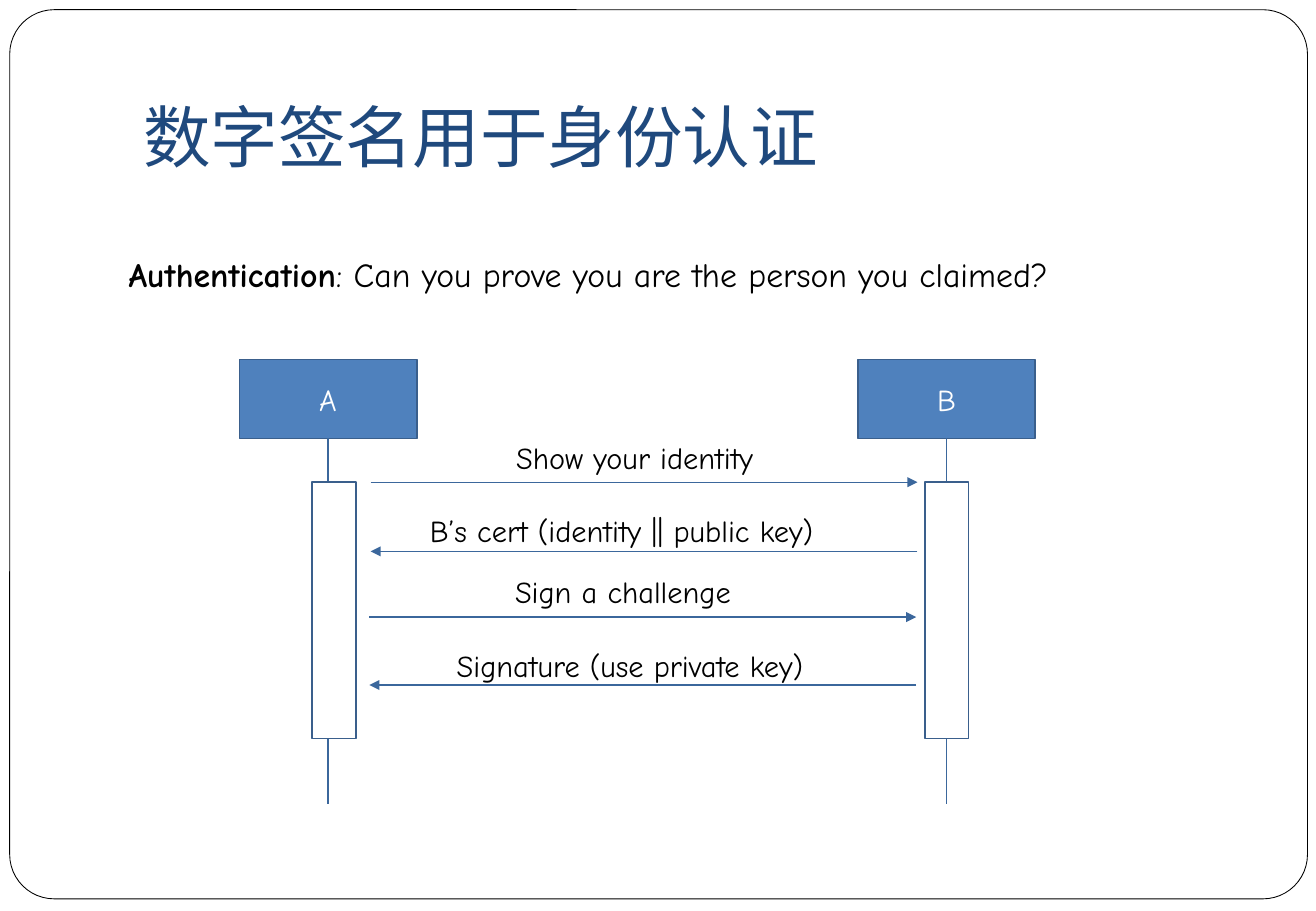
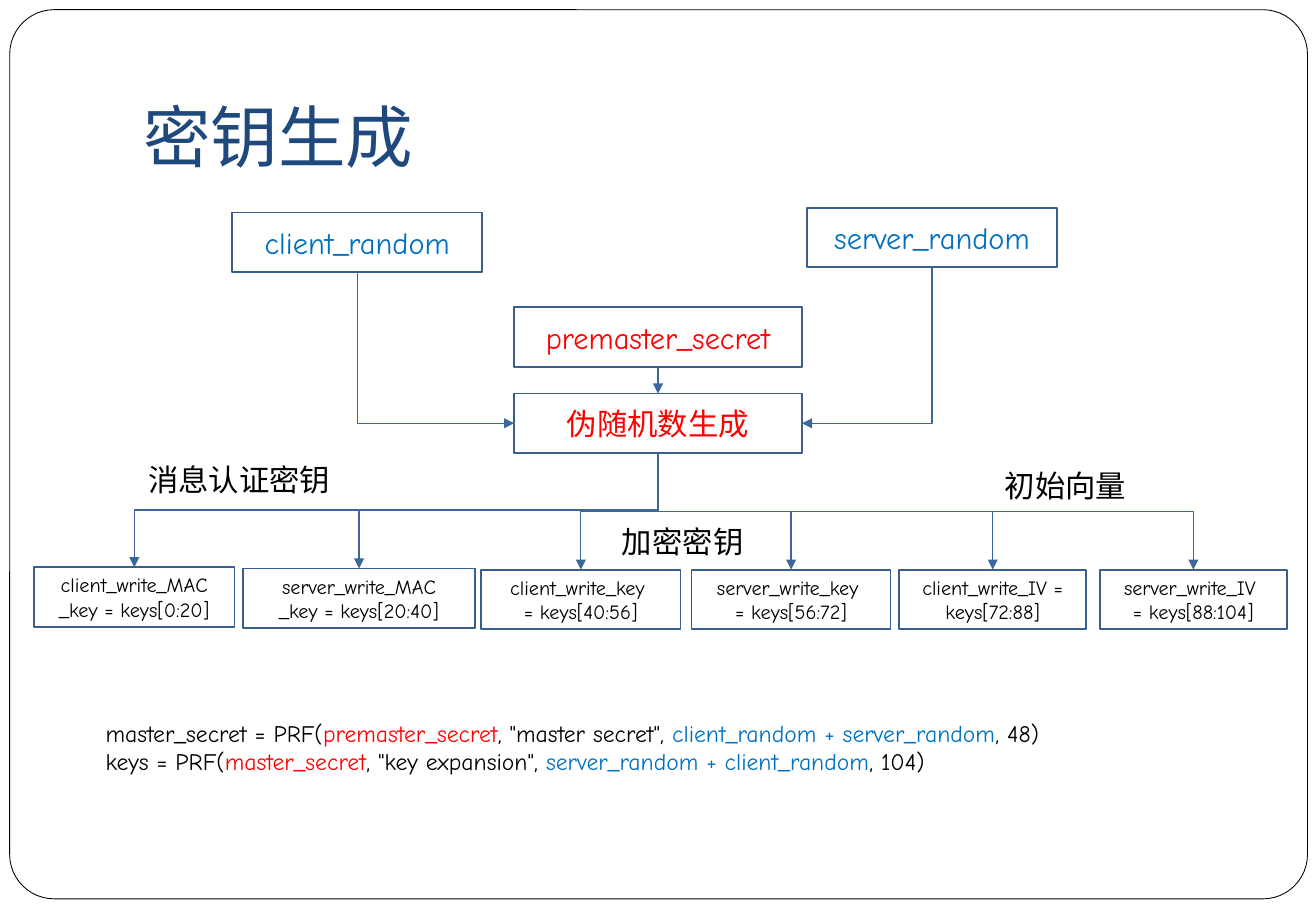
from lxml import etree
from pptx import Presentation
from pptx import util as u
from pptx.dml.color import RGBColor
from pptx.enum import shapes, text
from pptx.enum.lang import MSO_LANGUAGE_ID
from pptx.oxml.ns import qn

Inches = u.Inches
FONT = "Comic Neue"
BLACK = RGBColor(0x00, 0x00, 0x00)
WHITE = RGBColor(0xFF, 0xFF, 0xFF)
NAVY = RGBColor(0x1F, 0x49, 0x7D)
BLUE = RGBColor(0x4F, 0x81, 0xBD)
OUTLINE = RGBColor(0x3A, 0x5F, 0x8C)
ARROW = RGBColor(0x3B, 0x67, 0x9C)
RED = RGBColor(0xFF, 0x00, 0x00)
SKY = RGBColor(0x00, 0x70, 0xC0)
TOP, LEFT, BOTTOM, RIGHT = range(4)

# Authentication: name, box left, activation bar left
ACTORS = [("A", 1.97, 2.57), ("B", 7.06, 7.61)]
# Text, label box, arrow start x, arrow end x, arrow y
MESSAGES = [
    ("Show your identity", (4.15, 3.57, 2.57, 0.4), 3.05, 7.55, 3.97),
    ("B’s cert (identity || public key)", (3.44, 4.17, 3.95, 0.4), 7.55, 3.05, 4.54),
    ("Sign a challenge", (4.14, 4.67, 2.3, 0.4), 3.04, 7.54, 5.08),
    ("Signature (use private key)", (3.66, 5.28, 3.4, 0.4), 7.54, 3.04, 5.64),
]
QUESTION = [[("Authentication", BLACK, True),
             (": Can you prove you are the person you claimed?", BLACK)]]

# Key generation: text, colour, box
SOURCES = {
    "client": ("client_random", SKY, (1.91, 1.75, 2.06, 0.49)),
    "server": ("server_random", SKY, (6.64, 1.71, 2.06, 0.49)),
    "premaster": ("premaster_secret", RED, (4.23, 2.53, 2.37, 0.49)),
    "generator": ("伪随机数生成", RED, (4.23, 3.24, 2.37, 0.49)),
}
# Lines, left, top, width
KEYS = [
    (["client_write_MAC", "_key = keys[0:20]"], 0.28, 4.67, 1.65),
    (["server_write_MAC", "_key = keys[20:40]"], 2, 4.68, 1.91),
    (["client_write_key ", "= keys[40:56]"], 3.96, 4.69, 1.64),
    (["server_write_key ", "= keys[56:72]"], 5.69, 4.69, 1.64),
    (["client_write_IV = keys[72:88]"], 7.4, 4.69, 1.54),
    (["server_write_IV ", "= keys[88:104]"], 9.05, 4.69, 1.54),
]
GROUPS = [
    ("消息认证密钥", (1.12, 3.75, 1.83, 0.4)),
    ("加密密钥", (5.02, 4.26, 1.28, 0.4)),
    ("初始向量", (8.17, 3.8, 1.31, 0.4)),
]
FORMULAS = [
    [("master_secret = PRF(", BLACK), ("premaster_secret", RED),
     (', "master secret", ', BLACK), ("client_random + server_random", SKY),
     (", 48)", BLACK)],
    [("keys = PRF(", BLACK), ("master_secret", RED),
     (', "key expansion", ', BLACK), ("server_random + client_random", SKY),
     (", 104)", BLACK)],
]


def write(shape, lines, size=18, color=BLACK, align=text.PP_ALIGN.LEFT,
          anchor=text.MSO_ANCHOR.TOP, before=0, bottom=0.05):
    """Each line is a string or a list of (text, colour[, bold]) spans."""
    frame = shape.text_frame
    frame.word_wrap = True
    frame.vertical_anchor = anchor
    frame.margin_bottom = Inches(bottom)
    for index, line in enumerate(lines):
        para = frame.add_paragraph() if index else frame.paragraphs[0]
        para.alignment = align
        para.space_before = u.Pt(before)
        for words, ink, *bold in [(line, color)] if isinstance(line, str) else line:
            span = para.add_run()
            span.text = words
            font = span.font
            font.name, font.size, font.bold = FONT, u.Pt(size), bool(bold)
            font.color.rgb = ink
            if words >= "一":
                font.language_id = MSO_LANGUAGE_ID.SIMPLIFIED_CHINESE


def add_label(slide, place, lines, **style):
    box = slide.shapes.add_textbox(*map(Inches, place))
    write(box, lines, **style)


def add_box(slide, place, lines=(), fill=WHITE, line=OUTLINE, weight=1,
            kind=shapes.MSO_SHAPE.RECTANGLE, **style):
    box = slide.shapes.add_shape(kind, *map(Inches, place))
    box.shadow.inherit = False
    box.fill.solid()
    box.fill.fore_color.rgb = fill
    box.line.color.rgb = line
    box.line.width = u.Pt(weight)
    write(box, lines, align=text.PP_ALIGN.CENTER, anchor=text.MSO_ANCHOR.MIDDLE, **style)
    return box


def add_line(slide, start, end, kind=shapes.MSO_CONNECTOR.STRAIGHT, arrow=True):
    line = slide.shapes.add_connector(kind, *start, *end)
    line.line.color.rgb = ARROW
    line.line.width = u.Pt(0.75)
    if arrow:
        etree.SubElement(line.line._get_or_add_ln(), qn("a:tailEnd"), type="triangle")
    etree.SubElement(line._element.spPr, qn("a:effectLst"))
    return line


def side_point(box, side):
    middle_x, middle_y = box.left + box.width // 2, box.top + box.height // 2
    return {TOP: (middle_x, box.top), LEFT: (box.left, middle_y),
            BOTTOM: (middle_x, box.top + box.height),
            RIGHT: (box.left + box.width, middle_y)}[side]


def join_straight(slide, source, target):
    line = add_line(slide, side_point(source, BOTTOM), side_point(target, TOP))
    line.begin_connect(source, BOTTOM)
    line.end_connect(target, TOP)


def join_elbow(slide, source, target, side):
    """Leave the source downwards and bend once into a side or twice into a top."""
    (x1, y1), (x2, y2) = side_point(source, BOTTOM), side_point(target, side)
    line = add_line(slide, (x1, y1), (x2, y2), shapes.MSO_CONNECTOR.ELBOW)
    line.begin_connect(source, BOTTOM)
    line.end_connect(target, side)
    if side != TOP:
        line._element.spPr.find(qn("a:prstGeom")).set("prst", "bentConnector2")
    # The preset starts sideways, so a quarter turn about the centre makes it go down.
    rightward = x2 > x1
    width, height = y2 - y1, abs(x2 - x1)
    frame = line._element.spPr.find(qn("a:xfrm"))
    for name in list(frame.attrib):
        del frame.attrib[name]
    frame.set("rot", str((270 if rightward else 90) * 60000))
    if rightward:
        frame.set("flipH", "1")
    line.left, line.top = (x1 + x2 - width) // 2, (y1 + y2 - height) // 2
    line.width, line.height = width, height


def new_slide(deck, title):
    slide = deck.slides.add_slide(deck.slide_layouts[6])
    border = add_box(slide, (0.08, 0.08, 10.68, 7.32), line=BLACK, weight=0.5,
                     kind=shapes.MSO_SHAPE.ROUNDED_RECTANGLE)
    border.adjustments[0] = 0.05
    add_label(slide, (1.08, 0.3, 9.21, 1.25), [title], size=40, color=NAVY,
              anchor=text.MSO_ANCHOR.BOTTOM, bottom=0.1)
    return slide


def build_authentication(deck):
    slide = new_slide(deck, "数字签名用于身份认证")
    add_label(slide, (0.96, 2.04, 9.06, 0.81), QUESTION, size=20, before=5.8)
    for name, left, bar_left in ACTORS:
        actor = add_box(slide, (left, 2.96, 1.46, 0.65), [name], fill=BLUE, color=WHITE)
        start = side_point(actor, BOTTOM)
        lifeline = add_line(slide, start, (start[0], Inches(6.62)), arrow=False)
        lifeline.begin_connect(actor, BOTTOM)
        add_box(slide, (bar_left, 3.97, 0.36, 2.11))
    for words, place, start_x, end_x, y in MESSAGES:
        add_line(slide, (Inches(start_x), Inches(y)), (Inches(end_x), Inches(y)))
        add_label(slide, place, [words])


def build_key_generation(deck):
    slide = new_slide(deck, "密钥生成")
    add_label(slide, (0.77, 5.87, 9.05, 0.57), FORMULAS, size=14)
    boxes = {name: add_box(slide, place, [words], color=color)
             for name, (words, color, place) in SOURCES.items()}
    generator = boxes["generator"]
    join_elbow(slide, boxes["client"], generator, LEFT)
    join_elbow(slide, boxes["server"], generator, RIGHT)
    join_straight(slide, boxes["premaster"], generator)
    for lines, left, top, width in KEYS:
        key = add_box(slide, (left, top, width, 0.49), lines, size=12)
        join_elbow(slide, generator, key, TOP)
    for words, place in GROUPS:
        add_label(slide, place, [words])


def main():
    deck = Presentation()
    deck.slide_width, deck.slide_height = Inches(10.83), Inches(7.5)
    build_authentication(deck)
    build_key_generation(deck)
    deck.save("out.pptx")


if __name__ == "__main__":
    main()
